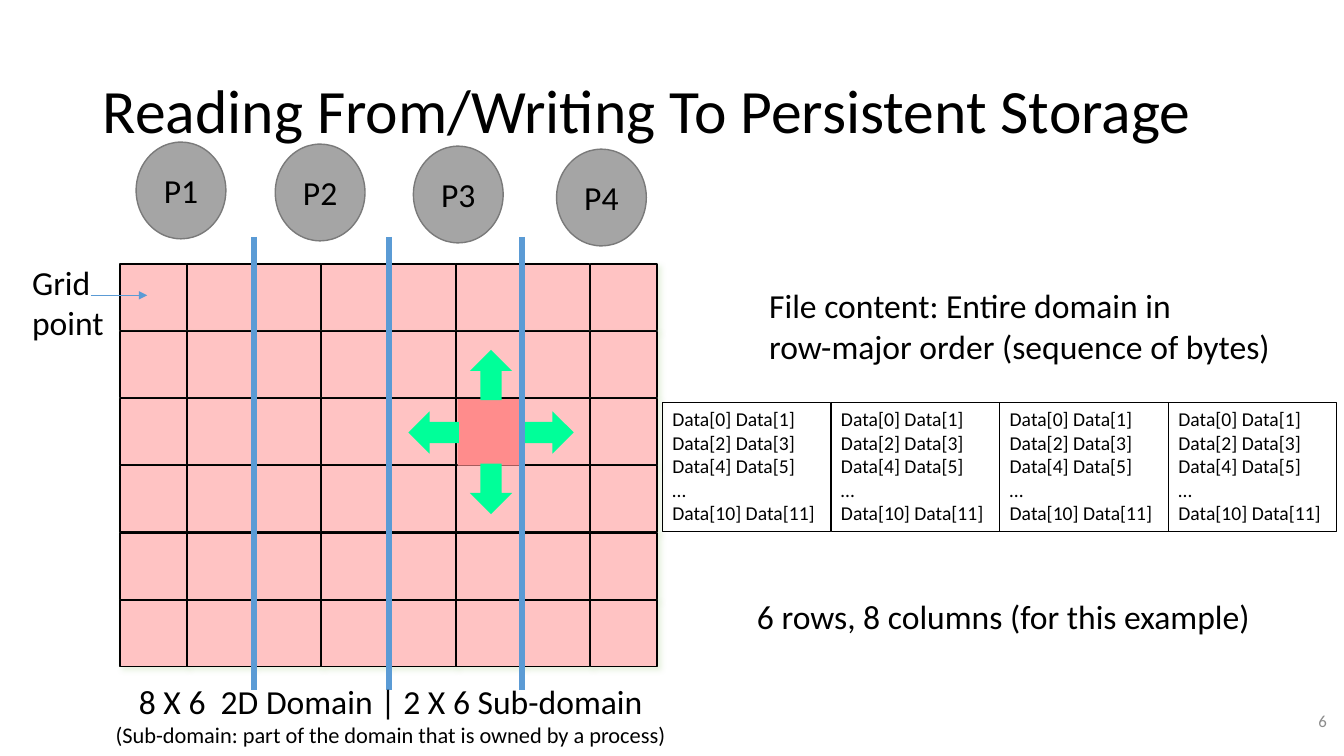
from lxml import etree
from pptx import Presentation
from pptx.dml.color import RGBColor
from pptx.enum.shapes import MSO_CONNECTOR, MSO_SHAPE
from pptx.enum.text import MSO_ANCHOR, PP_ALIGN
from pptx.oxml import parse_xml
from pptx.oxml.ns import qn
from pptx.util import Inches, Pt

RECTANGLE = MSO_SHAPE.RECTANGLE
OVAL = MSO_SHAPE.OVAL
RIGHT_ARROW = MSO_SHAPE.RIGHT_ARROW
STRAIGHT = MSO_CONNECTOR.STRAIGHT
TOP, MIDDLE = MSO_ANCHOR.TOP, MSO_ANCHOR.MIDDLE
LEFT, CENTER, RIGHT = PP_ALIGN.LEFT, PP_ALIGN.CENTER, PP_ALIGN.RIGHT

CELL_SHADOW = (
    '<a:effectLst xmlns:a="http://schemas.openxmlformats.org/drawingml/2006/main">'
    '<a:outerShdw blurRad="50800" dist="38100" dir="2700000" algn="tl" rotWithShape="0">'
    '<a:srgbClr val="C5E0B4"><a:alpha val="40000"/></a:srgbClr>'
    '</a:outerShdw></a:effectLst>'
)

deck = Presentation()
deck.slide_width = Inches(13.33)
deck.slide_height = Inches(7.5)
page = deck.slides.add_slide(deck.slide_layouts[5])


def add_block(kind, place, fill=None, line=None, width=1):
    block = page.shapes.add_shape(kind, *[Inches(length) for length in place])
    block.shadow.inherit = False
    if fill:
        block.fill.solid()
        block.fill.fore_color.rgb = RGBColor.from_string(fill)
    else:
        block.fill.background()
    if line:
        block.line.color.rgb = RGBColor.from_string(line)
        block.line.width = Pt(width)
    else:
        block.line.fill.background()
    return block


def write(box, text, sizes, align=LEFT, anchor=TOP, color="000000", wrap=True):
    frame = box.text_frame
    frame.text = text
    frame.word_wrap = wrap
    frame.vertical_anchor = anchor
    for index, para in enumerate(frame.paragraphs):
        para.alignment = align
        for span in para.runs:
            span.font.name = "Calibri"
            span.font.size = Pt(sizes[min(index, len(sizes) - 1)])
            span.font.color.rgb = RGBColor.from_string(color)


title = page.shapes.title
title.left, title.top = Inches(0.92), Inches(0.4)
title.width, title.height = Inches(11.5), Inches(1.45)
write(title, "Reading From/Writing To Persistent Storage", [44], anchor=MIDDLE)
title.text_frame.paragraphs[0].line_spacing = 0.9

CELL = 0.66
PITCH = 2 / 3
GRID_LEFT, GRID_TOP = 1.19, 2.62
for row in range(6):
    for column in range(8):
        place = (GRID_LEFT + column * PITCH, GRID_TOP + row * PITCH, CELL, CELL)
        cell = add_block(RECTANGLE, place, "FFC3C3", "000000")
        properties = cell._element.spPr
        properties.replace(properties.find(qn("a:effectLst")), parse_xml(CELL_SHADOW))

add_block(RECTANGLE, (4.54, 3.96, CELL, CELL), "FF8C8C")
for left, top, rotation in [(5.19, 4.08, 0), (4.05, 4.08, 180), (4.62, 4.64, 90), (4.62, 3.51, 270)]:
    neighbour_arrow = add_block(RIGHT_ARROW, (left, top, 0.5, 0.42), "00FF99")
    neighbour_arrow.rotation = rotation

dividers = [(x, 2.35, x, 6.85, 4.5) for x in (2.52, 3.86, 5.18)]
for *ends, width in dividers + [(0.9, 2.93, 1.46, 2.93, 0.5)]:
    line = page.shapes.add_connector(STRAIGHT, *[Inches(length) for length in ends])
    line.line.color.rgb = RGBColor.from_string("5B9BD5")
    line.line.width = Pt(width)
    etree.SubElement(line._element.spPr, qn("a:effectLst"))
pointer_line = line.line._get_or_add_ln()
etree.SubElement(pointer_line, qn("a:tailEnd"), type="triangle")

for number, (left, top) in enumerate([(1.35, 1.41), (2.73, 1.43), (4.1, 1.45), (5.52, 1.48)], 1):
    process = add_block(OVAL, (left, top, 0.89, 0.96), "A5A5A5", "7A7A7A")
    write(process, f"P{number}", [24], CENTER, MIDDLE)

FILE_DATA = "Data[0] Data[1]\nData[2] Data[3]\nData[4] Data[5]\n…\nData[10] Data[11]"
for part in range(4):
    file_part = add_block(RECTANGLE, (6.57 + part * 1.673, 3.99, 1.67, 1.28), None, "000000", 0.75)
    write(file_part, FILE_DATA, [14])

labels = [
    ((0.22, 2.55, 1.21, 0.91), "Grid point", [24], LEFT, TOP, "000000", True),
    ((1.04, 6.71, 5.67, 0.77),
     "8 X 6  2D Domain | 2 X 6 Sub-domain\n(Sub-domain: part of the domain that is owned by a process)",
     [24, 16], CENTER, TOP, "000000", False),
    ((7.53, 2.78, 5.22, 0.91),
     "File content: Entire domain in\nrow-major order (sequence of bytes)",
     [24], LEFT, TOP, "000000", False),
    ((7.41, 5.86, 5.13, 0.5), "6 rows, 8 columns (for this example)", [24], LEFT, TOP, "000000", False),
    ((10.26, 6.95, 3, 0.4), "6", [12], RIGHT, MIDDLE, "8C8C8C", True),
]
for place, *content in labels:
    label = page.shapes.add_textbox(*[Inches(length) for length in place])
    write(label, *content)

deck.save("out.pptx")
